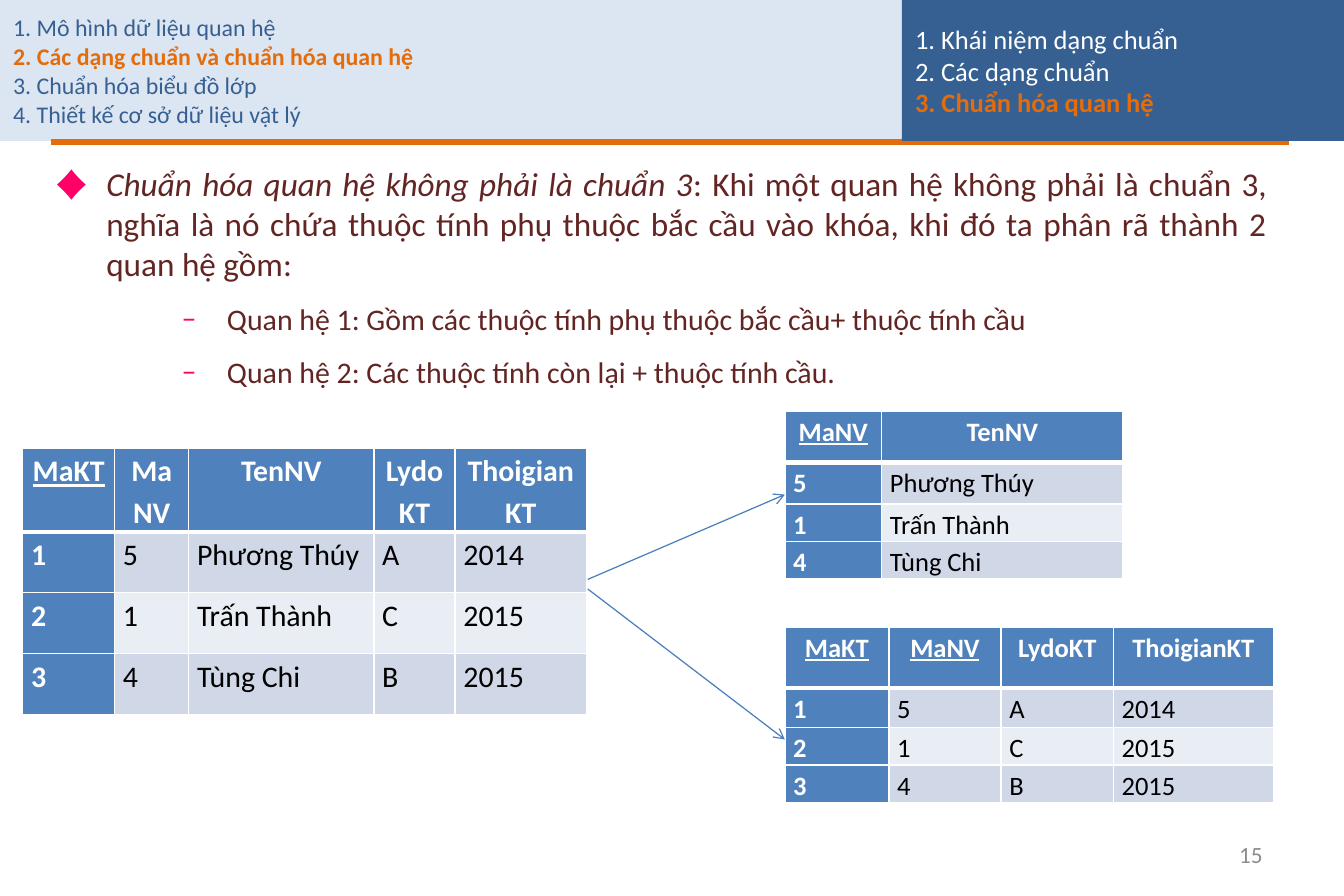
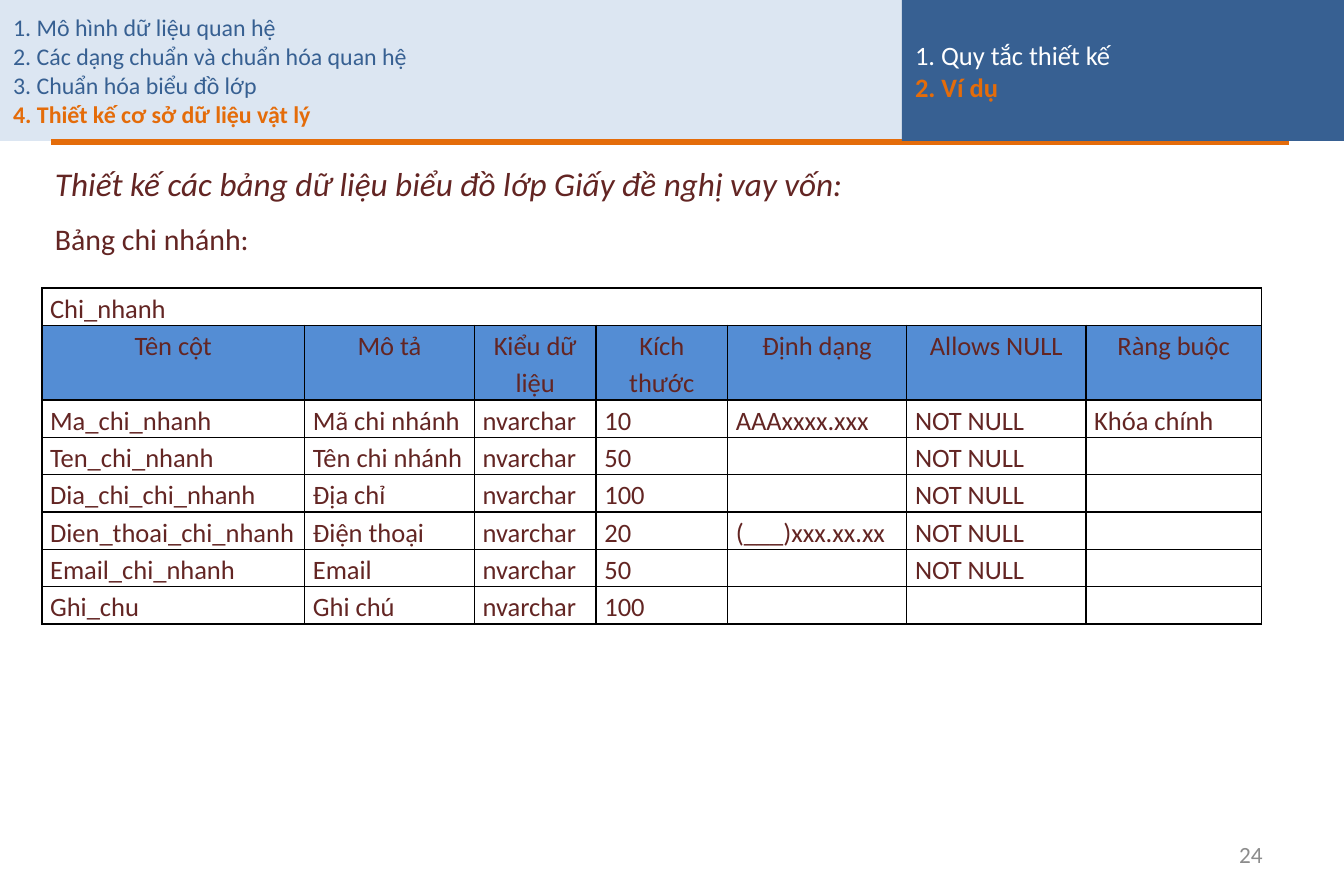
from lxml.etree import SubElement
from pptx import Presentation
from pptx.dml.color import RGBColor
from pptx.enum.shapes import MSO_CONNECTOR, MSO_SHAPE
from pptx.enum.text import MSO_ANCHOR, MSO_AUTO_SIZE, PP_ALIGN
from pptx.oxml.ns import qn
from pptx.util import Pt

PX = 9144
FONT = "Calibri"
WHITE = RGBColor(0xFF, 0xFF, 0xFF)
BLACK = RGBColor(0x00, 0x00, 0x00)
PALE_BLUE = RGBColor(0xDC, 0xE6, 0xF2)
NAVY = RGBColor(0x37, 0x60, 0x92)
ORANGE = RGBColor(0xE4, 0x6C, 0x0A)
MAROON = RGBColor(0x63, 0x25, 0x23)
PINK = RGBColor(0xFF, 0x00, 0x66)
GREY = RGBColor(0x8C, 0x8C, 0x8C)
HEAD_BLUE = RGBColor(0x4F, 0x81, 0xBD)
ARROW_BLUE = RGBColor(0x4B, 0x7E, 0xBC)
BAND_DARK = RGBColor(0xD0, 0xD8, 0xE8)
BAND_LIGHT = RGBColor(0xE9, 0xED, 0xF4)
SPEC_BLUE = RGBColor(0x54, 0x8D, 0xD4)

CHAPTERS = [
    "1. Mô hình dữ liệu quan hệ",
    "2. Các dạng chuẩn và chuẩn hóa quan hệ",
    "3. Chuẩn hóa biểu đồ lớp",
    "4. Thiết kế cơ sở dữ liệu vật lý",
]

DIAMOND = {"char": "♦", "left": 43, "hang": 43}
DASH = {"char": "–", "left": 144, "hang": 38}
NO_BULLET = {"char": None, "left": 0, "hang": 0}

NORMALISING = {
    "chapter": 1,
    "sections": ["1. Khái niệm dạng chuẩn", "2. Các dạng chuẩn", "3. Chuẩn hóa quan hệ"],
    "number": "15",
    "body": [
        (DIAMOND, 20, "Chuẩn hóa quan hệ không phải là chuẩn 3",
         ": Khi một quan hệ không phải là chuẩn 3, nghĩa là nó chứa thuộc tính phụ thuộc "
         "bắc cầu vào khóa, khi đó ta phân rã thành 2 quan hệ gồm:"),
        (DASH, 18, "", "Quan hệ 1: Gồm các thuộc tính phụ thuộc bắc cầu+ thuộc tính cầu"),
        (DASH, 18, "", "Quan hệ 2: Các thuộc tính còn lại + thuộc tính cầu."),
    ],
}
PHYSICAL_DESIGN = {
    "chapter": 3,
    "sections": ["1. Quy tắc thiết kế", "2. Ví dụ"],
    "number": "24",
    "body": [
        (NO_BULLET, 20, "Thiết kế các bảng dữ liệu biểu đồ lớp Giấy đề nghị vay vốn:", ""),
        (NO_BULLET, 18, "", "Bảng chi nhánh:"),
    ],
}

RELATIONS = [
    {"at": (19, 375), "cols": [77, 62, 155, 68, 110], "heights": [70, 51, 51, 51],
     "size": 18, "keys": 1, "rows": [
        ["MaKT", "MaNV", "TenNV", "LydoKT", "ThoigianKT"],
        ["1", "5", "Phương Thúy", "A", "2014"],
        ["2", "1", "Trấn Thành", "C", "2015"],
        ["3", "4", "Tùng Chi", "B", "2015"]]},
    {"at": (657, 525), "cols": [87, 94, 94, 134], "heights": [51, 33, 31, 31],
     "size": 16, "keys": 2, "rows": [
        ["MaKT", "MaNV", "LydoKT", "ThoigianKT"],
        ["1", "5", "A", "2014"],
        ["2", "1", "C", "2015"],
        ["3", "4", "B", "2015"]]},
    {"at": (657, 344), "cols": [81, 202], "heights": [43, 35, 31, 31],
     "size": 16, "keys": 1, "rows": [
        ["MaNV", "TenNV"],
        ["5", "Phương Thúy"],
        ["1", "Trấn Thành"],
        ["4", "Tùng Chi"]]},
]
SPLIT_ARROWS = [(492, 485, 657, 414), (492, 493, 657, 619)]

BRANCH_COLS = [220, 142, 102, 110, 150, 150, 147]
BRANCH_ROWS = [
    ["Chi_nhanh", "", "", "", "", "", ""],
    ["Tên cột", "Mô tả", "Kiểu dữ liệu", "Kích thước", "Định dạng", "Allows NULL", "Ràng buộc"],
    ["Ma_chi_nhanh", "Mã chi nhánh", "nvarchar", "10", "AAAxxxx.xxx", "NOT NULL", "Khóa chính"],
    ["Ten_chi_nhanh", "Tên chi nhánh", "nvarchar", "50", "", "NOT NULL", ""],
    ["Dia_chi_chi_nhanh", "Địa chỉ", "nvarchar", "100", "", "NOT NULL", ""],
    ["Dien_thoai_chi_nhanh", "Điện thoại", "nvarchar", "20", "(___)xxx.xx.xx", "NOT NULL", ""],
    ["Email_chi_nhanh", "Email", "nvarchar", "50", "", "NOT NULL", ""],
    ["Ghi_chu", "Ghi chú", "nvarchar", "100", "", "", ""],
]


def px(*lengths):
    return [length * PX for length in lengths]


def write(paragraph, text, size, color, align=PP_ALIGN.LEFT, **style):
    paragraph.alignment = align
    run = paragraph.add_run()
    run.text = text
    font = run.font
    font.name, font.size, font.color.rgb = FONT, Pt(size), color
    font.bold = style.get("bold", False)
    font.italic = style.get("italic", False)
    font.underline = style.get("underline", False)


def prepare(frame, anchor):
    frame.word_wrap = True
    frame.auto_size = MSO_AUTO_SIZE.NONE
    frame.vertical_anchor = anchor
    frame.margin_left = frame.margin_right = 11 * PX
    frame.margin_top = frame.margin_bottom = 6 * PX
    return frame


def paragraphs(frame, items):
    for index, item in enumerate(items):
        yield index, item, frame.add_paragraph() if index else frame.paragraphs[0]


def place(shape, *box):
    shape.left, shape.top, shape.width, shape.height = px(*box)
    return shape


def paint(shape, color):
    shape.fill.solid()
    shape.fill.fore_color.rgb = color


def outline_list(shape, entries, current, size, color):
    frame = prepare(shape.text_frame, MSO_ANCHOR.MIDDLE)
    for index, entry, paragraph in paragraphs(frame, entries):
        active = index == current
        write(paragraph, entry, size, ORANGE if active else color, bold=active)


def set_bullet(paragraph, bullet):
    props = paragraph._p.get_or_add_pPr()
    props.set("marL", str(bullet["left"] * PX))
    props.set("indent", str(-bullet["hang"] * PX))
    if bullet["char"] is None:
        SubElement(props, qn("a:buNone"))
        return
    SubElement(SubElement(props, qn("a:buClr")), qn("a:srgbClr"), val=str(PINK))
    SubElement(props, qn("a:buFont"), typeface=FONT)
    SubElement(props, qn("a:buChar"), char=bullet["char"])


def add_line(slide, ends, color, width, arrow=False):
    line = slide.shapes.add_connector(MSO_CONNECTOR.STRAIGHT, *px(*ends))
    line.line.color.rgb = color
    line.line.width = Pt(width)
    props = line._element.spPr
    if arrow:
        SubElement(props.find(qn("a:ln")), qn("a:tailEnd"), type="arrow")
    SubElement(props, qn("a:effectLst"))


def add_slide(deck, content):
    slide = deck.slides.add_slide(deck.slide_layouts[1])
    title, body = slide.placeholders
    paint(place(title, 0, 0, 787, 118), PALE_BLUE)
    outline_list(title, CHAPTERS, content["chapter"], 14.4, NAVY)

    place(body, 35, 131, 1037, 619)
    frame = prepare(body.text_frame, MSO_ANCHOR.TOP)
    for index, (bullet, size, lead, rest), paragraph in paragraphs(frame, content["body"]):
        set_bullet(paragraph, bullet)
        paragraph.space_before = Pt(size * 0.2 if index else 0)
        paragraph.space_after = Pt(6.8)
        for text, italic in ((lead, True), (rest, False)):
            if text:
                write(paragraph, text, size, MAROON, PP_ALIGN.JUSTIFY, italic=italic)

    add_line(slide, (43, 119, 1079, 119), ORANGE, 4)
    number = slide.shapes.add_textbox(*px(806, 695, 262, 40))
    frame = prepare(number.text_frame, MSO_ANCHOR.MIDDLE)
    write(frame.paragraphs[0], content["number"], 14, GREY, PP_ALIGN.RIGHT)

    sections = slide.shapes.add_shape(MSO_SHAPE.RECTANGLE, *px(755, 0, 370, 118))
    sections.shadow.inherit = False
    sections.line.fill.background()
    paint(sections, NAVY)
    outline_list(sections, content["sections"], len(content["sections"]) - 1, 16, WHITE)
    return slide


def set_borders(cell, color, top=1, bottom=1):
    props = cell._tc.get_or_add_tcPr()
    for side, width in (("L", 1), ("R", 1), ("T", top), ("B", bottom)):
        border = SubElement(props, qn("a:ln" + side), w=str(Pt(width)))
        SubElement(SubElement(border, qn("a:solidFill")), qn("a:srgbClr"), val=str(color))


def add_grid(slide, at, cols, heights):
    box = px(*at, sum(cols), sum(heights))
    table = slide.shapes.add_table(len(heights), len(cols), *box).table
    table.first_row = table.horz_banding = False
    for column, width in zip(table.columns, cols):
        column.width = width * PX
    for row, height in zip(table.rows, heights):
        row.height = height * PX
    return table


def fill_cell(cell, text, fill, size, color, **style):
    cell.margin_left = cell.margin_right = 7 * PX
    cell.margin_top = cell.margin_bottom = 0
    if fill is None:
        cell.fill.background()
    else:
        paint(cell, fill)
    if text:
        paragraph = cell.text_frame.paragraphs[0]
        paragraph.line_spacing = 1.15
        write(paragraph, text, size, color, **style)


def add_relation(slide, relation):
    table = add_grid(slide, relation["at"], relation["cols"], relation["heights"])
    for r, row in enumerate(relation["rows"]):
        for c, text in enumerate(row):
            cell = table.cell(r, c)
            set_borders(cell, WHITE, top=3 if r == 1 else 1, bottom=1 if r else 3)
            strong = r == 0 or c == 0
            band = BAND_DARK if r % 2 else BAND_LIGHT
            fill_cell(cell, text, HEAD_BLUE if strong else band, relation["size"],
                      WHITE if strong else BLACK, bold=strong,
                      underline=r == 0 and c < relation["keys"],
                      align=PP_ALIGN.LEFT if r else PP_ALIGN.CENTER)


def add_branch_table(slide):
    heights = [62 if r == 1 else 31 for r in range(len(BRANCH_ROWS))]
    table = add_grid(slide, (35, 241), BRANCH_COLS, heights)
    for r, row in enumerate(BRANCH_ROWS):
        for c, text in enumerate(row):
            cell = table.cell(r, c)
            set_borders(cell, BLACK)
            fill_cell(cell, text, SPEC_BLUE if r == 1 else None, 16, MAROON,
                      align=PP_ALIGN.CENTER if r == 1 else PP_ALIGN.LEFT)
    table.cell(0, 0).merge(table.cell(0, len(BRANCH_COLS) - 1))


def main():
    deck = Presentation()
    deck.slide_width, deck.slide_height = px(1125, 750)
    normalising = add_slide(deck, NORMALISING)
    for relation in RELATIONS:
        add_relation(normalising, relation)
    for ends in SPLIT_ARROWS:
        add_line(normalising, ends, ARROW_BLUE, 0.75, arrow=True)
    add_branch_table(add_slide(deck, PHYSICAL_DESIGN))
    deck.save("out.pptx")


if __name__ == "__main__":
    main()
